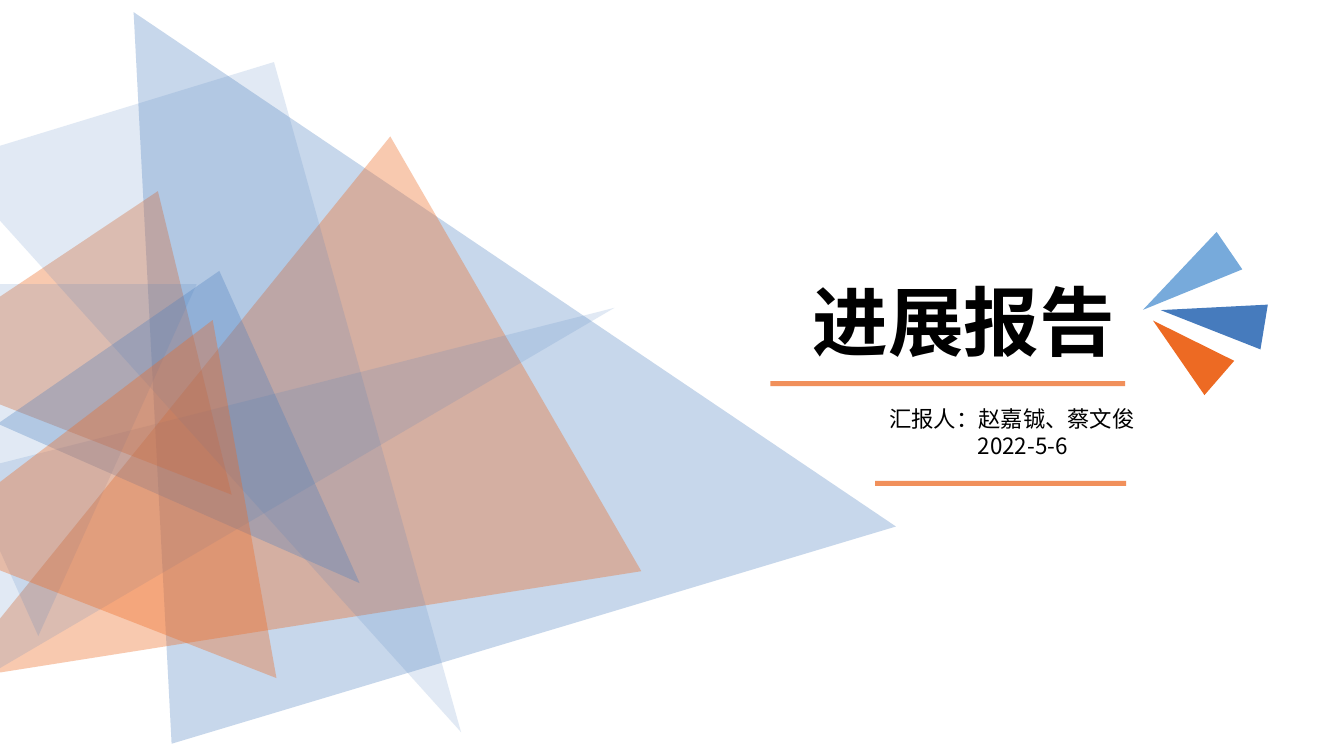
from typing import NamedTuple

import lxml.etree
import pptx
import pptx.dml.color
import pptx.enum.shapes
import pptx.enum.text
import pptx.oxml
import pptx.oxml.ns
import pptx.util

PX = 9144  # EMU in one px, 100 px to the inch
FONT = "Noto Sans CJK SC"
BLUE = pptx.dml.color.RGBColor(0x46, 0x7B, 0xBD)
SKY = pptx.dml.color.RGBColor(0x77, 0xAA, 0xDB)
ORANGE = pptx.dml.color.RGBColor(0xED, 0x6A, 0x23)
BLACK = pptx.dml.color.RGBColor(0, 0, 0)
WHITE = pptx.dml.color.RGBColor(0xFF, 0xFF, 0xFF)
KIND = pptx.enum.shapes.MSO_SHAPE


class Form(NamedTuple):
    left: int
    top: int
    width: int
    height: int
    color: pptx.dml.color.RGBColor
    alpha: int = 100  # opacity in percent
    turn: float = 0
    apex: float = 0.5  # place of the tip along the base


# Overlapping triangles, from back to front
SHARDS = [
    Form(53, -61, 750, 706, BLUE, 30, 343.3, 0.23),
    Form(-18, 189, 498, 648, ORANGE, 36, 240),
    Form(182, 86, 201, 707, BLUE, 16, 67.7),
    Form(-67, 181, 355, 254, ORANGE, 36, 21.3),
    Form(69, 315, 267, 334, BLUE, 30, 145.4, 0.23),
    Form(41, 96, 339, 690, BLUE, 16, 163, 0.05),
    Form(-119, 282, 314, 349, BLUE, 16, 180),
    Form(-33, 307, 376, 308, ORANGE, 36, 21.3),
]

# Fan of three beside the title
FAN = [
    Form(1154, 303, 45, 87, ORANGE, turn=310.9),
    Form(1154, 226, 45, 104, SKY, turn=235.6),
    Form(1180, 264, 45, 104, BLUE, turn=279.3),
]

# Rules below the title and below the date
BARS = [
    Form(764, 378, 352, 5, ORANGE, 74),
    Form(868, 477, 249, 5, ORANGE, 74),
]


def draw(slide, form: Form, kind: pptx.enum.shapes.MSO_SHAPE) -> None:
    box = (n * PX for n in form[:4])
    shape = slide.shapes.add_shape(kind, *box)
    shape.shadow.inherit = False
    shape.rotation = form.turn
    shape.line.fill.background()
    shape.fill.solid()
    shape.fill.fore_color.rgb = form.color
    if kind == KIND.ISOSCELES_TRIANGLE:
        shape.adjustments[0] = form.apex
    if form.alpha < 100:
        fill = shape.element.spPr.find(pptx.oxml.ns.qn("a:solidFill"))
        tag = pptx.oxml.ns.qn("a:alpha")
        lxml.etree.SubElement(fill[0], tag, val=str(form.alpha * 1000))


def write(slide, lines: list[str], left: int, top: int, width: int, height: int,
          size: int, bold: bool = False, wrap: bool = True):
    box = slide.shapes.add_textbox(*(n * PX for n in (left, top, width, height)))
    frame = box.text_frame
    frame.word_wrap = wrap
    frame.auto_size = pptx.enum.text.MSO_AUTO_SIZE.SHAPE_TO_FIT_TEXT
    frame.text = "\n".join(lines)
    for para in frame.paragraphs:
        for run in para.runs:
            run.font.name = FONT
            run.font.size = pptx.util.Pt(size)
            run.font.bold = bold
            run.font.color.rgb = BLACK
            tag = pptx.oxml.ns.qn("a:ea")
            lxml.etree.SubElement(run.font._element, tag, typeface=FONT)
    return frame


def main() -> None:
    deck = pptx.Presentation()
    deck.slide_width, deck.slide_height = 1333 * PX, 750 * PX
    slide = deck.slides.add_slide(deck.slide_layouts[6])
    slide.background.fill.solid()
    slide.background.fill.fore_color.rgb = WHITE

    for form in SHARDS + FAN:
        draw(slide, form, KIND.ISOSCELES_TRIANGLE)
    for bar in BARS:
        draw(slide, bar, KIND.RECTANGLE)

    # Title, then speakers and an indented date
    write(slide, ["进展报告"], 796, 268, 321, 101, size=54, bold=True, wrap=False)
    frame = write(slide, ["汇报人：赵嘉铖、蔡文俊", "2022-5-6"],
                  872, 397, 293, 64, size=16)
    date = frame.paragraphs[1]
    date._p.get_or_add_pPr().set("marL", str(88 * PX))

    deck.save("out.pptx")


if __name__ == "__main__":
    main()
